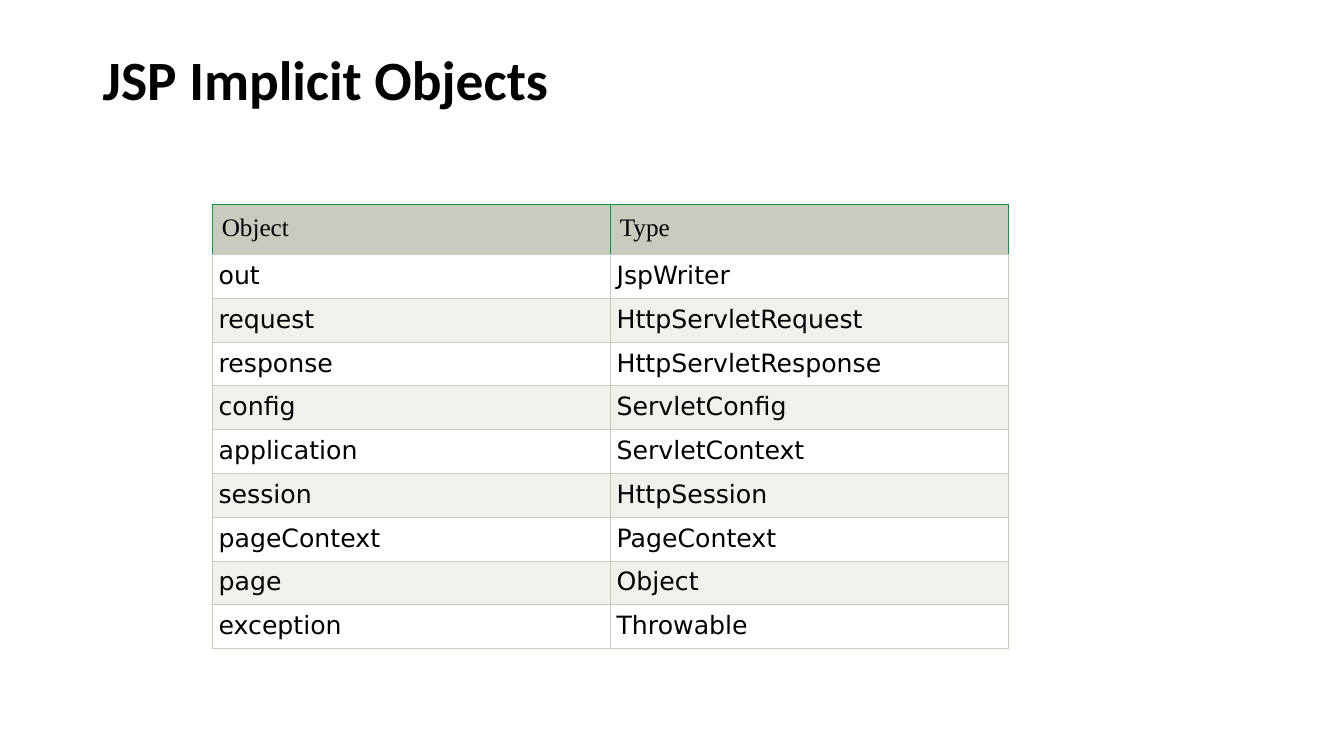
import dataclasses

import lxml.etree
import pptx
import pptx.dml.color
import pptx.enum.text
import pptx.oxml.ns
import pptx.util

Cm = pptx.util.Cm
Pt = pptx.util.Pt


@dataclasses.dataclass(frozen=True)
class Theme:
    text: str = "000000"
    header_fill: str = "C7CCBE"
    header_line: str = "109445"
    body_line: str = "C7CCBE"
    body_fills: tuple = ("FFFFFF", "EFF1EB")
    title_font: str = "Calibri"
    header_font: str = "Times New Roman"
    body_font: str = "DejaVu Sans"
    title_size: float = 39.6
    table_size: float = 18
    line_width: float = 0.6


THEME = Theme()

IMPLICIT_OBJECTS = [
    ("out", "JspWriter"),
    ("request", "HttpServletRequest"),
    ("response", "HttpServletResponse"),
    ("config", "ServletConfig"),
    ("application", "ServletContext"),
    ("session", "HttpSession"),
    ("pageContext", "PageContext"),
    ("page", "Object"),
    ("exception", "Throwable"),
]


def rgb(color):
    return pptx.dml.color.RGBColor.from_string(color)


def write_text(frame, text, *, font, size, color=THEME.text, bold=False):
    span = frame.paragraphs[0].add_run()
    span.text = text
    span.font.name = font
    span.font.size = Pt(size)
    span.font.bold = bold
    span.font.color.rgb = rgb(color)


def add_title(page, text):
    box = page.shapes.add_textbox(Cm(2.34), Cm(1.02), Cm(29.21), Cm(3.68))
    box.text_frame.word_wrap = True
    box.text_frame.vertical_anchor = pptx.enum.text.MSO_ANCHOR.TOP
    write_text(box.text_frame, text, font=THEME.title_font,
               size=THEME.title_size, bold=True)


def set_borders(cell, **colors):
    """Draw the cell's sides; keywords L, R, T and B give their colours."""
    properties = cell._tc.get_or_add_tcPr()
    for side, color in colors.items():
        line = lxml.etree.SubElement(
            properties, pptx.oxml.ns.qn(f"a:ln{side}"), w=str(Pt(THEME.line_width)))
        fill = lxml.etree.SubElement(line, pptx.oxml.ns.qn("a:solidFill"))
        lxml.etree.SubElement(fill, pptx.oxml.ns.qn("a:srgbClr"), val=color)


def fill_row(table, index, texts, *, height, inset, font, fill, line):
    table.rows[index].height = height
    for cell, text in zip(table.rows[index].cells, texts):
        cell.margin_left = cell.margin_right = inset
        cell.margin_top = cell.margin_bottom = inset
        set_borders(cell, L=line, R=line, T=line, B=THEME.body_line)
        cell.fill.solid()
        cell.fill.fore_color.rgb = rgb(fill)
        write_text(cell.text_frame, text, font=font, size=THEME.table_size)


def add_object_table(page, header, rows):
    header_height, row_height = Cm(1.2), Cm(1.08)
    frame = page.shapes.add_table(
        len(rows) + 1, len(header), Cm(5.34), Cm(5.15), Cm(20.06),
        header_height + row_height * len(rows))
    table = frame.table
    fill_row(table, 0, header, height=header_height, inset=Cm(0.25),
             font=THEME.header_font, fill=THEME.header_fill,
             line=THEME.header_line)
    for index, texts in enumerate(rows, start=1):
        fill_row(table, index, texts, height=row_height, inset=Cm(0.17),
                 font=THEME.body_font, line=THEME.body_line,
                 fill=THEME.body_fills[(index - 1) % 2])


def main():
    deck = pptx.Presentation()
    deck.slide_width, deck.slide_height = Cm(33.87), Cm(19.05)
    page = deck.slides.add_slide(deck.slide_layouts[6])

    # Heading
    add_title(page, "JSP Implicit Objects")

    # Objects and their types
    add_object_table(page, ("Object", "Type"), IMPLICIT_OBJECTS)

    deck.save("out.pptx")


main()
